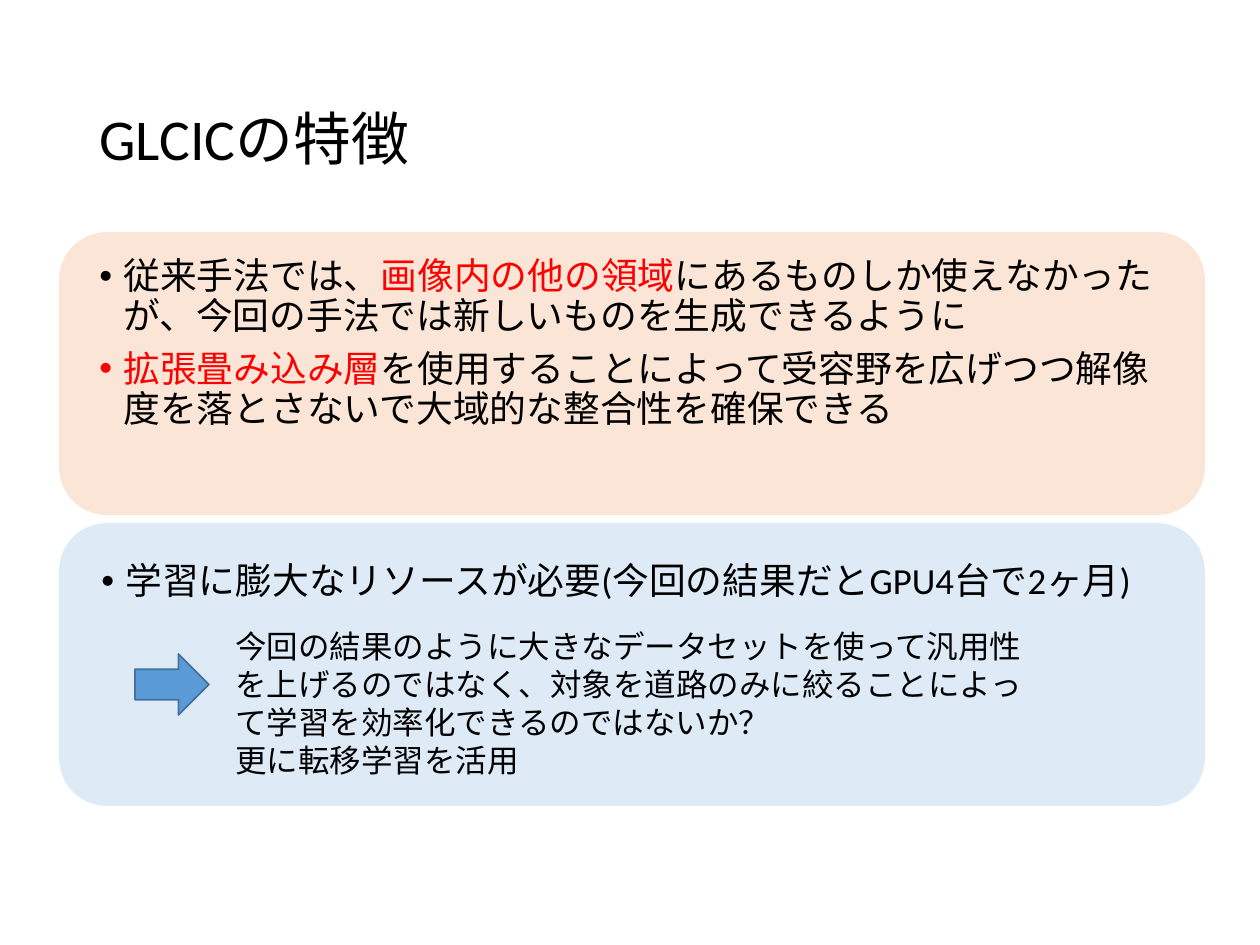
from lxml import etree
from pptx import Presentation
from pptx.dml.color import RGBColor
from pptx.enum.shapes import MSO_SHAPE
from pptx.enum.text import MSO_ANCHOR
from pptx.oxml.ns import qn
from pptx.util import Emu, Pt

PX = 914400 / 126
FONT = "Calibri"
BLACK = RGBColor(0x00, 0x00, 0x00)
RED = RGBColor(0xFF, 0x00, 0x00)
PEACH = RGBColor(0xFB, 0xE5, 0xD6)
PALE_BLUE = RGBColor(0xDE, 0xEB, 0xF7)
BLUE = RGBColor(0x5B, 0x9B, 0xD5)
DARK_BLUE = RGBColor(0x43, 0x73, 0x9E)

# Each paragraph is a list of (text, colour) runs.
TITLE = [[("GLCICの特徴", BLACK)]]
FEATURES = [
    [("従来手法では、", BLACK), ("画像内の他の領域", RED),
     ("にあるものしか使えなかったが、今回の手法では新しいものを生成できるように", BLACK)],
    [("拡張畳み込み層", RED),
     ("を使用することによって受容野を広げつつ解像度を落とさないで大域的な整合性を確保できる", BLACK)],
]
PROBLEM = [[("学習に膨大なリソースが必要(今回の結果だとGPU4台で2ヶ月)", BLACK)]]
IDEA = [
    [("今回の結果のように大きなデータセットを使って汎用性を上げるのではなく、"
      "対象を道路のみに絞ることによって学習を効率化できるのではないか？", BLACK)],
    [("更に転移学習を活用", BLACK)],
]

# Boxes are (left, top, width, height) in px.
SHAPES = [
    (MSO_SHAPE.ROUNDED_RECTANGLE, (60, 233, 1144, 281), PEACH, PEACH),
    (MSO_SHAPE.ROUNDED_RECTANGLE, (60, 524, 1144, 281), PALE_BLUE, PALE_BLUE),
    (MSO_SHAPE.RIGHT_ARROW, (135, 654, 74, 61), BLUE, DARK_BLUE),
]
TEXTS = [
    (TITLE, (87, 50, 1086, 183), 33, dict(anchor=MSO_ANCHOR.MIDDLE, line_spacing=0.9)),
    (FEATURES, (87, 252, 1086, 215), 21, dict(line_spacing=0.9, bullet=True)),
    (PROBLEM, (89, 557, 1086, 215), 21, dict(line_spacing=0.9, bullet=True)),
    (IDEA, (223, 621, 813, 165), 18, {}),
]


def emu(px):
    return Emu(round(px * PX))


def add_bullet(p):
    pPr = p._p.get_or_add_pPr()
    indent = emu(24)
    pPr.set("marL", str(indent))
    pPr.set("indent", str(-indent))
    etree.SubElement(pPr, qn("a:buFont")).set("typeface", "Arial")
    etree.SubElement(pPr, qn("a:buChar")).set("char", "•")


def add_panel(slide, kind, box, fill, line):
    sp = slide.shapes.add_shape(kind, *map(emu, box))
    sp.shadow.inherit = False
    sp.fill.solid()
    sp.fill.fore_color.rgb = fill
    sp.line.color.rgb = line
    sp.line.width = Pt(1)


def add_text(slide, paragraphs, box, size, anchor=MSO_ANCHOR.TOP,
             line_spacing=None, bullet=False):
    tf = slide.shapes.add_textbox(*map(emu, box)).text_frame
    tf.word_wrap = True
    tf.vertical_anchor = anchor
    for i, runs in enumerate(paragraphs):
        p = tf.add_paragraph() if i else tf.paragraphs[0]
        if bullet:
            add_bullet(p)
        if line_spacing:
            p.line_spacing = line_spacing
        if bullet and i:
            p.space_before = Pt(7.5)
        for text, color in runs:
            r = p.add_run()
            r.text = text
            r.font.name = FONT
            r.font.size = Pt(size)
            r.font.color.rgb = color


def main():
    prs = Presentation()
    prs.slide_width, prs.slide_height = emu(1260), emu(945)
    slide = prs.slides.add_slide(prs.slide_layouts[6])
    for shape in SHAPES:
        add_panel(slide, *shape)
    for paragraphs, box, size, style in TEXTS:
        add_text(slide, paragraphs, box, size, **style)
    prs.save("out.pptx")


if __name__ == "__main__":
    main()
